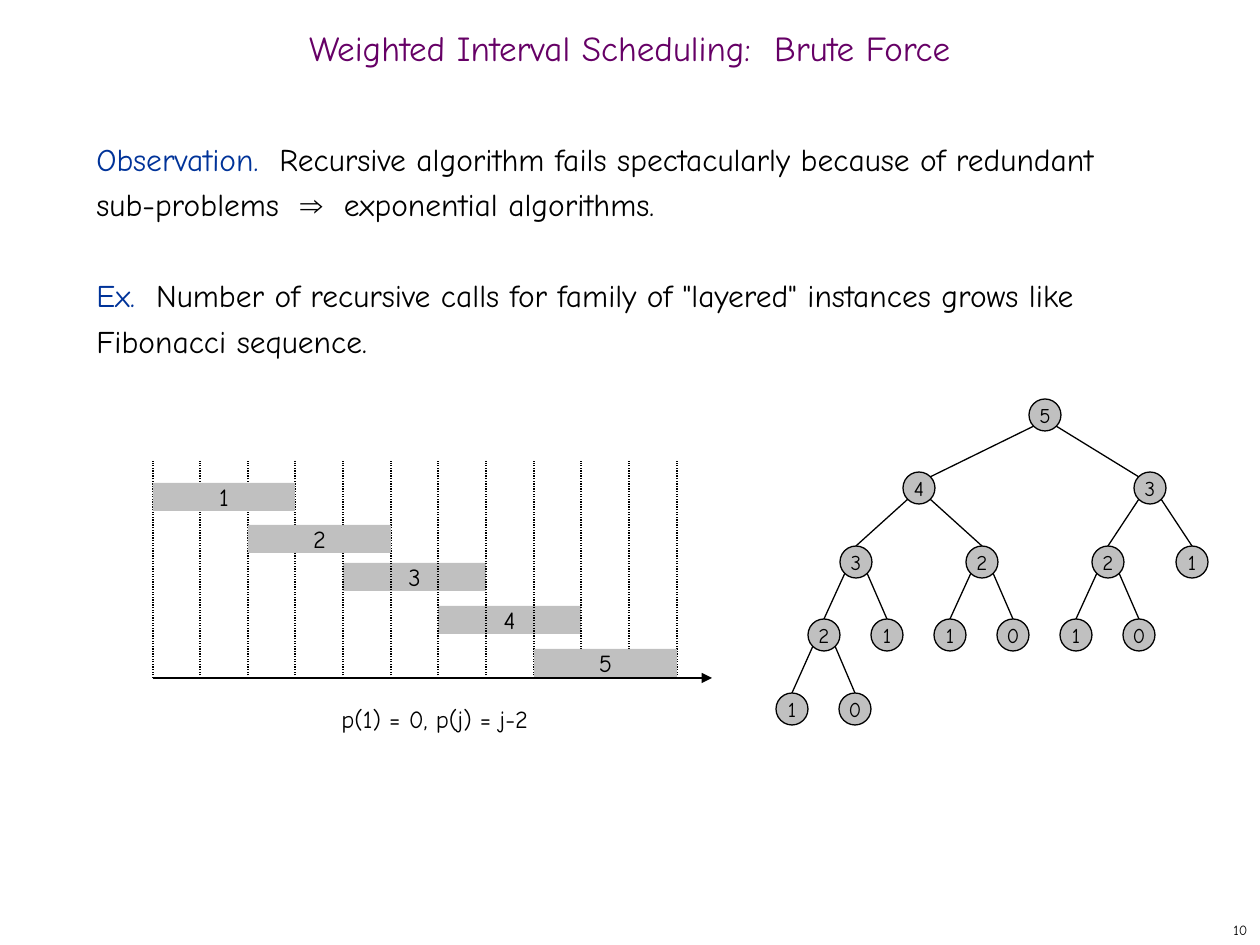
from dataclasses import dataclass

from lxml import etree
from pptx import Presentation
from pptx import util as u
from pptx.dml.color import RGBColor
from pptx.enum import dml, shapes, text
from pptx.oxml.ns import qn


@dataclass(frozen=True)
class Theme:
    font: str = "Comic Neue"
    symbol_font: str = "Arial"
    ink: str = "000000"
    heading: str = "660066"
    keyword: str = "003399"
    fill: str = "C0C0C0"
    title_size: int = 20
    body_size: int = 18
    label_size: int = 14
    node_size: int = 12
    page_size: int = 8
    body_leading: int = 26
    line_width: float = 0.75


THEME = Theme()
PX_PER_INCH = 126

# Timeline
TIME_LEFT, TIME_RIGHT, TIME_TOP, TIME_BASE = 153, 677, 461, 678
TIME_STEPS = 11
JOB_TOPS = {1: 483, 2: 525, 3: 563, 4: 606, 5: 649}
JOB_HEIGHT = 28
JOBS_BEHIND_GRID = (3, 4)

# Call tree
LEVELS = (415, 488, 562, 635, 709)
RADIUS = 16
DIAGONAL = 11
SPREADS = {(5, 0): (126, 105), (4, 1): (63, 63), (3, 1): (42, 42)}
LEAF_SPREAD = (32, 31)


def px(length):
    return u.Emu(round(length * 914400 / PX_PER_INCH))


def box(left, top, width, height):
    return [px(length) for length in (left, top, width, height)]


def style_run(run, size, color=THEME.ink, font=THEME.font):
    run.font.name = font
    run.font.size = u.Pt(size)
    run.font.color.rgb = RGBColor.from_string(color)


def write_label(shape, words, size, color=THEME.ink,
                align=text.PP_ALIGN.CENTER, anchor=text.MSO_ANCHOR.MIDDLE):
    frame = shape.text_frame
    frame.text = words
    frame.word_wrap = False
    frame.vertical_anchor = anchor
    paragraph = frame.paragraphs[0]
    paragraph.alignment = align
    style_run(paragraph.runs[0], size, color)
    return frame


def add_filled(parent, kind, bounds, words, size, outlined=False):
    shape = parent.add_shape(kind, *box(*bounds))
    shape.shadow.inherit = False
    shape.fill.solid()
    shape.fill.fore_color.rgb = RGBColor.from_string(THEME.fill)
    if outlined:
        shape.line.color.rgb = RGBColor.from_string(THEME.ink)
        shape.line.width = u.Pt(THEME.line_width)
    else:
        shape.line.fill.background()
    write_label(shape, words, size)


def add_line(parent, start, end, dash=None, arrow=False):
    line = parent.add_connector(shapes.MSO_CONNECTOR.STRAIGHT,
                                *box(*start, *end))
    line.line.color.rgb = RGBColor.from_string(THEME.ink)
    line.line.width = u.Pt(THEME.line_width)
    if dash:
        line.line.dash_style = dash
    if arrow:
        etree.SubElement(line.line._get_or_add_ln(), qn("a:tailEnd"),
                         type="triangle")
    etree.SubElement(line._element.spPr, qn("a:effectLst"))


def add_body(slide):
    frame = slide.shapes.add_textbox(*box(84, 126, 1081, 746)).text_frame
    frame.word_wrap = True
    statements = (
        (("Observation.  ", THEME.keyword, THEME.font),
         ("Recursive algorithm fails spectacularly because of redundant "
          "sub-problems  ", THEME.ink, THEME.font),
         ("⇒", THEME.ink, THEME.symbol_font),
         ("  exponential algorithms.", THEME.ink, THEME.font)),
        (("Ex.  ", THEME.keyword, THEME.font),
         ('Number of recursive calls for family of "layered" instances '
          "grows like Fibonacci sequence.", THEME.ink, THEME.font)),
    )
    for index, statement in enumerate(statements):
        paragraph = frame.add_paragraph() if index else frame.paragraphs[0]
        paragraph.line_spacing = u.Pt(THEME.body_leading)
        if index:
            paragraph.space_before = u.Pt(THEME.body_leading)
        for words, color, font in statement:
            run = paragraph.add_run()
            run.text = words
            style_run(run, THEME.body_size, color, font)


def time_x(step):
    return TIME_LEFT + (TIME_RIGHT - TIME_LEFT) * step // TIME_STEPS


def add_job(slide, job):
    """Each job lasts three steps and starts two steps after the last one."""
    start = 2 * (job - 1)
    left = time_x(start)
    bounds = left, JOB_TOPS[job], time_x(start + 3) - left, JOB_HEIGHT
    add_filled(slide.shapes, shapes.MSO_SHAPE.RECTANGLE, bounds,
               str(job), THEME.label_size)


def add_timeline(slide):
    add_line(slide.shapes, (TIME_LEFT, TIME_BASE), (712, TIME_BASE),
             arrow=True)
    for job in JOBS_BEHIND_GRID:
        add_job(slide, job)
    grid = slide.shapes.add_group_shape().shapes
    for step in range(TIME_STEPS + 1):
        add_line(grid, (time_x(step), TIME_BASE), (time_x(step), TIME_TOP),
                 dash=dml.MSO_LINE.ROUND_DOT)
    for job in JOB_TOPS:
        if job not in JOBS_BEHIND_GRID:
            add_job(slide, job)
    caption = slide.shapes.add_textbox(*box(329, 698, 213, 42))
    frame = write_label(caption, "p(1) = 0, p(j) = j-2", THEME.label_size,
                        align=text.PP_ALIGN.LEFT, anchor=text.MSO_ANCHOR.TOP)
    frame.auto_size = text.MSO_AUTO_SIZE.SHAPE_TO_FIT_TEXT


def add_calls(tree, job, x, depth=0):
    """Draw the call for a job, then its calls for job - 1 and job - 2."""
    y = LEVELS[depth]
    add_filled(tree, shapes.MSO_SHAPE.OVAL,
               (x - RADIUS, y - RADIUS, 2 * RADIUS, 2 * RADIUS),
               str(job), THEME.node_size, outlined=True)
    if job < 2:
        return
    spread = SPREADS.get((job, depth), LEAF_SPREAD)
    for side, offset, callee in zip((-1, 1), spread, (job - 1, job - 2)):
        child_x, child_y = x + side * offset, LEVELS[depth + 1]
        if depth == 0:
            end = child_x - side * DIAGONAL, child_y - DIAGONAL
        else:
            end = child_x, child_y - RADIUS
        add_line(tree, (x + side * DIAGONAL, y + DIAGONAL), end)
        add_calls(tree, callee, child_x, depth + 1)


def main():
    deck = Presentation()
    deck.slide_width, deck.slide_height = px(1260), px(945)
    slide = deck.slides.add_slide(deck.slide_layouts[6])

    page = slide.shapes.add_textbox(*box(998, 914, 262, 31))
    write_label(page, "10", THEME.page_size, align=text.PP_ALIGN.RIGHT)
    title = slide.shapes.add_textbox(*box(0, 21, 1260, 63))
    heading = write_label(title, "Weighted Interval Scheduling:  Brute Force",
                          THEME.title_size, THEME.heading)
    heading.word_wrap = True
    heading.paragraphs[0].line_spacing = 0.7

    add_body(slide)
    add_timeline(slide)
    add_calls(slide.shapes.add_group_shape().shapes, 5, 1045)
    deck.save("out.pptx")


if __name__ == "__main__":
    main()
